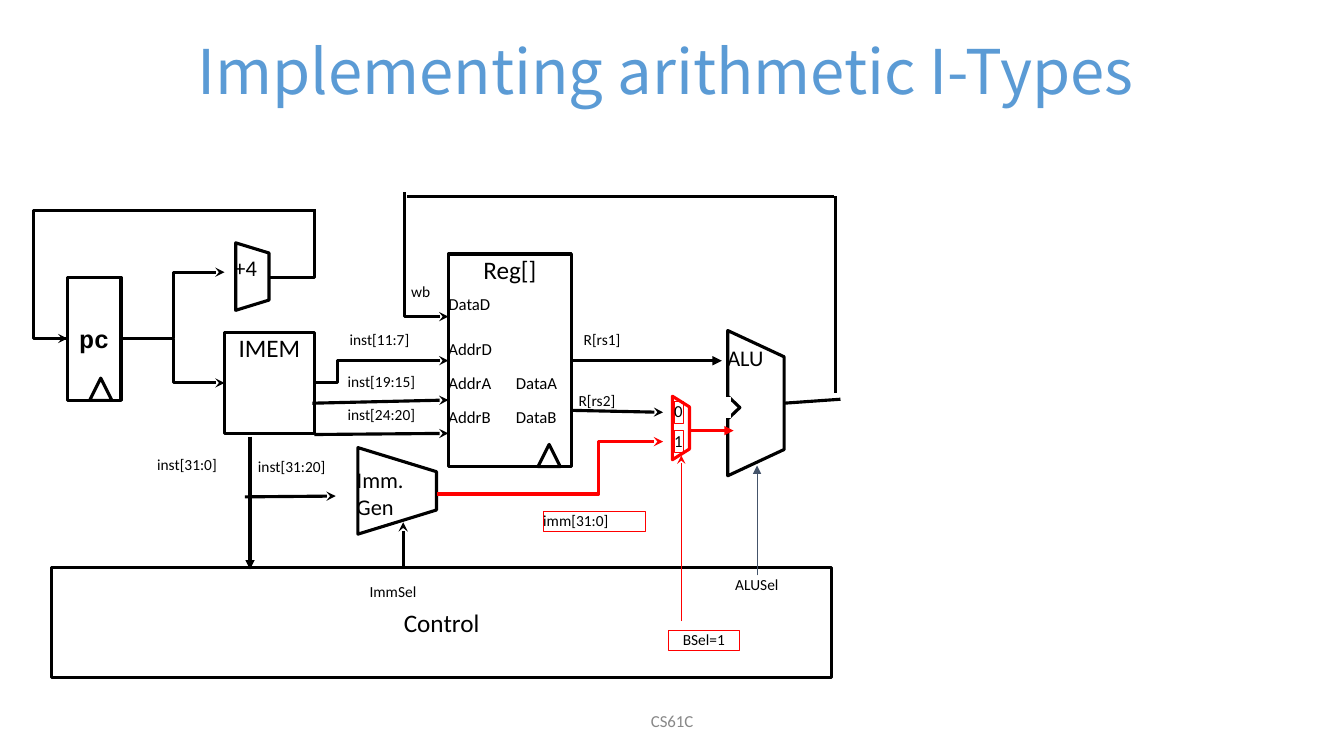
from dataclasses import dataclass

from lxml.etree import SubElement
from pptx import Presentation
from pptx.dml.color import RGBColor
from pptx.enum.shapes import MSO_CONNECTOR, MSO_SHAPE
from pptx.enum.text import MSO_ANCHOR, PP_ALIGN
from pptx.oxml.ns import qn
from pptx.util import Cm, Pt

BLACK, WHITE, RED, SLATE = "000000", "FFFFFF", "FF0000", "44546A"
RECT, TRAPEZOID, TRIANGLE = MSO_SHAPE.RECTANGLE, MSO_SHAPE.TRAPEZOID, MSO_SHAPE.ISOSCELES_TRIANGLE
LEFT, CENTER = PP_ALIGN.LEFT, PP_ALIGN.CENTER
TOP, MIDDLE = MSO_ANCHOR.TOP, MSO_ANCHOR.MIDDLE
THICK, THIN = 2.25, 0.75


@dataclass
class Block:
    """A datapath part; a trapezoid is turned so that it narrows to the right."""
    kind: MSO_SHAPE
    box: tuple[float, float, float, float]
    text: str = ""
    fill: str | None = None
    color: str = BLACK
    slant: float | None = None
    rotation: float = 0
    anchor: MSO_ANCHOR = TOP
    font: str = "Calibri"
    bold: bool = False


@dataclass
class Label:
    text: str
    box: tuple[float, float, float, float]
    size: float = 11
    align: PP_ALIGN = LEFT
    inset: tuple[float, float] = (0, 0)
    color: str = BLACK
    anchor: MSO_ANCHOR = TOP
    border: str | None = None


@dataclass
class Wire:
    """A straight line, or one with a vertical run at x = turn."""
    start: tuple[float, float]
    end: tuple[float, float]
    head: str | None = None
    turn: float | None = None
    color: str = BLACK
    width: float = THICK


BLOCKS = [
    Block(RECT, (5.66, 8.38, 2.26, 2.54), "IMEM", WHITE),
    Block(TRAPEZOID, (5.51, 6.55, 1.7, 0.84), slant=0.307, rotation=90),
    Block(TRAPEZOID, (17.22, 9.45, 3.66, 1.42), fill=WHITE, slant=0.466, rotation=90),
    Block(TRIANGLE, (18.24, 10.13, 0.53, 0.28), rotation=90),
    Block(RECT, (1.7, 6.99, 1.35, 3.1), "pc", WHITE, anchor=MIDDLE, font="Courier New", bold=True),
    Block(TRIANGLE, (2.26, 9.53, 0.56, 0.56)),
    Block(RECT, (1.3, 14.3, 19.66, 2.77), "Control", WHITE, anchor=MIDDLE),
    Block(RECT, (11.3, 6.4, 3.1, 5.36), "Reg[]", WHITE),
    Block(TRIANGLE, (13.56, 11.2, 0.56, 0.56)),
    Block(TRAPEZOID, (8.92, 11.38, 2.18, 1.98), slant=0.307, rotation=90),
    Block(TRAPEZOID, (16.36, 10.57, 1.6, 0.43), fill=WHITE, color=RED, slant=0.627, rotation=90),
]

WIRES = [
    # ALU notch
    Wire((18.36, 10.01), (18.36, 10.54), color=WHITE, width=3),
    # Program counter loop
    Wire((1.14, 8.53), (1.7, 8.53)),
    Wire((3.05, 8.53), (5.66, 9.65), "stealth", turn=4.37),
    Wire((4.37, 8.53), (5.66, 6.86), "stealth", turn=4.37),
    Wire((6.78, 6.99), (7.92, 5.28), turn=7.92),
    Wire((7.9, 5.31), (1.7, 8.53), "stealth", turn=0.84),
    # Instruction fields
    Wire((7.92, 9.65), (11.3, 9.09), "stealth", turn=8.51),
    Wire((7.87, 10.16), (11.3, 10.08), "stealth"),
    Wire((7.92, 10.95), (11.3, 10.92), "stealth"),
    Wire((6.3, 11), (6.3, 14.35), "triangle"),
    Wire((6.17, 12.52), (8.46, 12.5), "stealth"),
    # Write back
    Wire((19.76, 10.16), (21.18, 10.06)),
    Wire((21.06, 4.95), (21.06, 9.91)),
    Wire((10.26, 4.95), (21.03, 4.95)),
    Wire((10.19, 4.85), (11.3, 7.98), "stealth", turn=10.19),
    # Operands
    Wire((14.4, 10.34), (16.71, 10.39), "stealth"),
    Wire((14.43, 9.09), (18.19, 9.09), "triangle"),
    Wire((11.02, 12.45), (16.71, 11.13), "stealth", turn=15.09, color=RED),
    Wire((17.4, 10.85), (18.49, 10.85), "triangle", color=RED),
    # Control signals
    Wire((10.16, 14.25), (10.16, 13.16), "stealth"),
    Wire((17.17, 15.65), (17.17, 11.48), "stealth", color=RED, width=THIN),
    Wire((19.08, 14.5), (19.08, 11.73), "triangle", color=SLATE, width=THIN),
]

PORTS = [("DataD", 11.3, 7.39), ("AddrD", 11.3, 8.53), ("AddrA", 11.3, 9.4),
         ("AddrB", 11.3, 10.24), ("DataA", 13, 9.4), ("DataB", 13, 10.24)]

LABELS = [Label(name, (x, y, 1.45, 0.69), 12) for name, x, y in PORTS] + [
    Label("+4", (5.66, 6.4, 1.12, 0.91), 16, inset=(0.25, 0)),
    Label("ALU", (18.08, 8.53, 1.93, 1.17), 16, inset=(0.25, 0.13)),
    Label("Imm.\nGen", (8.74, 11.61, 2.29, 1.68), 16, inset=(0.25, 0.13)),
    Label("inst[11:7]", (8.81, 8.33, 2.03, 0.64)),
    Label("inst[19:15]", (8.76, 9.37, 2.29, 0.64)),
    Label("inst[24:20]", (8.76, 10.21, 2.29, 0.64)),
    Label("inst[31:0]", (3.96, 11.48, 2.29, 0.64)),
    Label("inst[31:20]", (6.5, 11.51, 2.29, 0.64)),
    Label("wb", (10.36, 7.11, 0.66, 0.64)),
    Label("R[rs1]", (14.71, 8.31, 2.03, 0.64)),
    Label("R[rs2]", (14.58, 9.86, 2.03, 0.64)),
    Label("ALUSel", (18.06, 14.5, 2.03, 0.64), align=CENTER),
    Label("ImmSel", (8.89, 14.66, 2.03, 0.64), align=CENTER),
    Label("0", (16.99, 10.11, 0.23, 0.56), 12, border=RED),
    Label("1", (16.99, 10.85, 0.23, 0.56), 12, border=RED),
    Label("imm[31:0]", (13.69, 12.88, 2.59, 0.51), border=RED),
    Label("BSel=1", (16.84, 15.88, 1.8, 0.51), align=CENTER, border=RED),
    Label("CS61C", (11.58, 17.65, 10.72, 1.02), 12, CENTER, (0.25, 0.13), "888888", MIDDLE),
]


def rgb(value: str) -> RGBColor:
    return RGBColor.from_string(value)


def write(frame, text: str, *, size: float, color: str = BLACK, font: str = "Calibri",
          bold: bool = False, align: PP_ALIGN = LEFT, anchor: MSO_ANCHOR = TOP,
          inset: tuple[float, float] = (0, 0), spacing: float = 1) -> None:
    frame.word_wrap = True
    frame.vertical_anchor = anchor
    frame.margin_left = frame.margin_right = Cm(inset[0])
    frame.margin_top = frame.margin_bottom = Cm(inset[1])
    frame.text = text
    for paragraph in frame.paragraphs:
        paragraph.alignment = align
        paragraph.line_spacing = spacing
        style = paragraph.runs[0].font
        style.name, style.size, style.bold = font, Pt(size), bold
        style.color.rgb = rgb(color)


def add_outlined(slide, kind: MSO_SHAPE, box: tuple, fill: str | None, color: str, width: float):
    shape = slide.shapes.add_shape(kind, *map(Cm, box))
    shape.shadow.inherit = False
    if fill:
        shape.fill.solid()
        shape.fill.fore_color.rgb = rgb(fill)
    else:
        shape.fill.background()
    shape.line.color.rgb = rgb(color)
    shape.line.width = Pt(width)
    return shape


def add_block(slide, block: Block) -> None:
    shape = add_outlined(slide, block.kind, block.box, block.fill, block.color, THICK)
    shape.rotation = block.rotation
    if block.slant is not None:
        shape.adjustments[0] = block.slant
    if block.text:
        write(shape.text_frame, block.text, size=18, font=block.font, bold=block.bold,
              align=CENTER, anchor=block.anchor)


def add_label(slide, label: Label) -> None:
    if label.border:
        shape = add_outlined(slide, RECT, label.box, None, label.border, THIN)
    else:
        shape = slide.shapes.add_textbox(*map(Cm, label.box))
    write(shape.text_frame, label.text, size=label.size, color=label.color,
          align=label.align, anchor=label.anchor, inset=label.inset)


def add_wire(slide, wire: Wire) -> None:
    kind = MSO_CONNECTOR.STRAIGHT if wire.turn is None else MSO_CONNECTOR.ELBOW
    connector = slide.shapes.add_connector(kind, *map(Cm, wire.start + wire.end))
    connector.line.color.rgb = rgb(wire.color)
    connector.line.width = Pt(wire.width)
    properties = connector._element.spPr
    if wire.turn is not None:
        share = (wire.turn - wire.start[0]) / (wire.end[0] - wire.start[0])
        guides = properties.find(qn("a:prstGeom")).get_or_add_avLst()
        SubElement(guides, qn("a:gd"), name="adj1", fmla=f"val {round(share * 100000)}")
    if wire.head:
        SubElement(properties.find(qn("a:ln")), qn("a:tailEnd"), type=wire.head)
    SubElement(properties, qn("a:effectLst"))


def main() -> None:
    deck = Presentation()
    deck.slide_width, deck.slide_height = Cm(33.87), Cm(19.05)
    slide = deck.slides.add_slide(deck.slide_layouts[5])
    title = slide.shapes.title
    title.left, title.top, title.width, title.height = map(Cm, (0.81, 0.41, 31.95, 2.92))
    write(title.text_frame, "Implementing arithmetic I-Types", size=44, color="5B9BD5",
          font="Noto Sans CJK SC", align=CENTER, anchor=MIDDLE, inset=(0.25, 0.13), spacing=0.9)
    for block in BLOCKS:
        add_block(slide, block)
    for wire in WIRES:
        add_wire(slide, wire)
    for label in LABELS:
        add_label(slide, label)
    deck.save("out.pptx")


if __name__ == "__main__":
    main()
